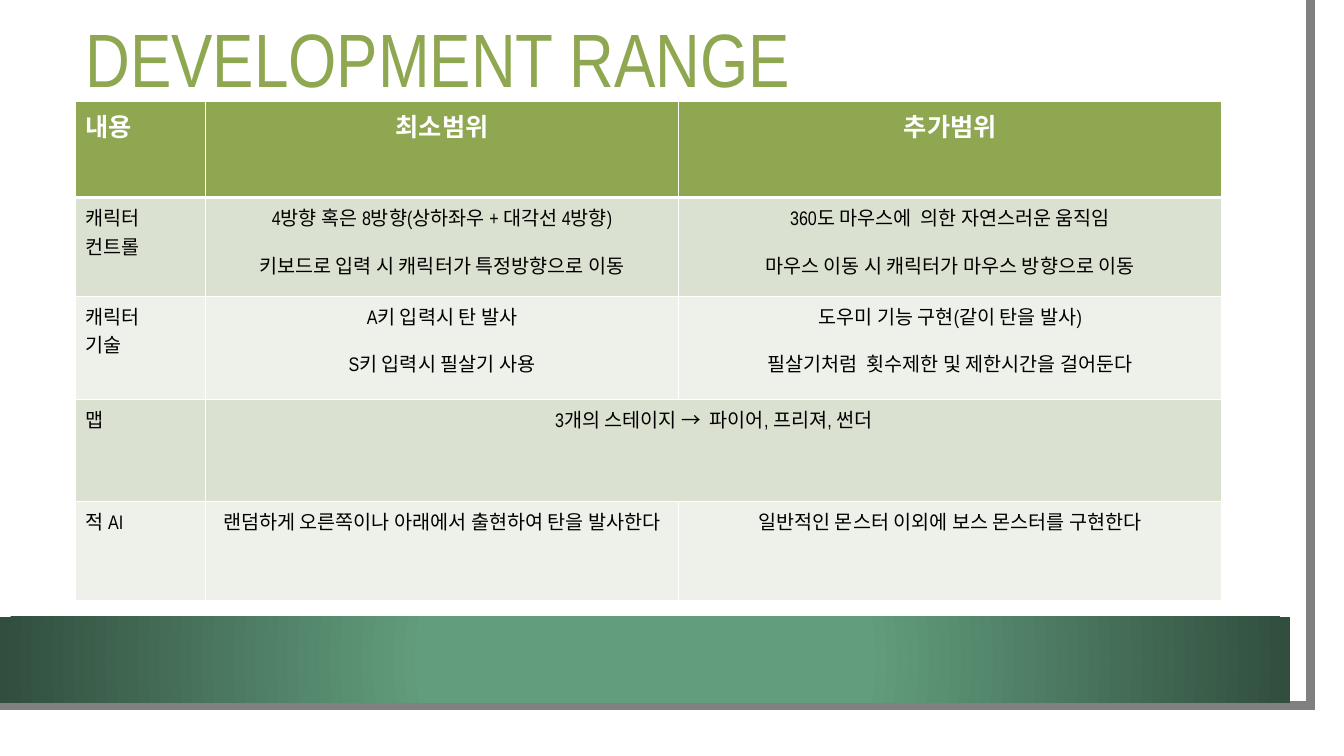
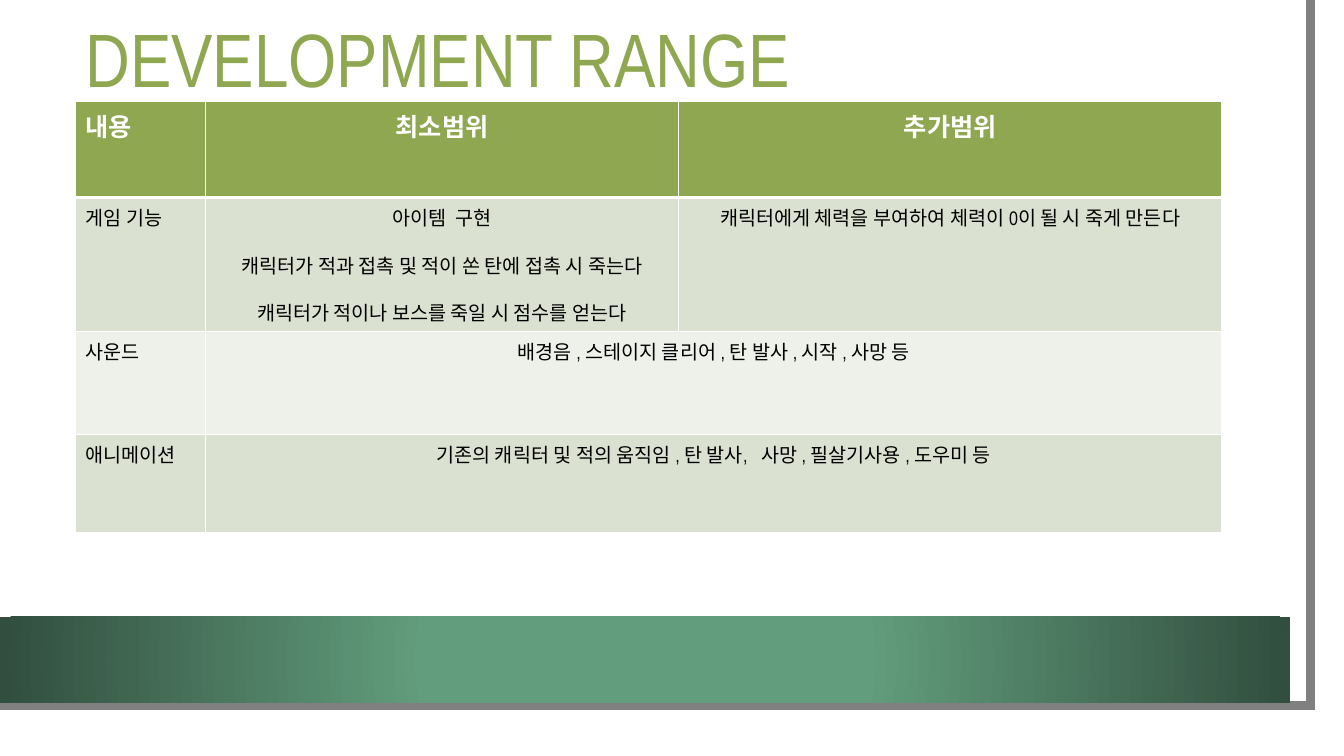
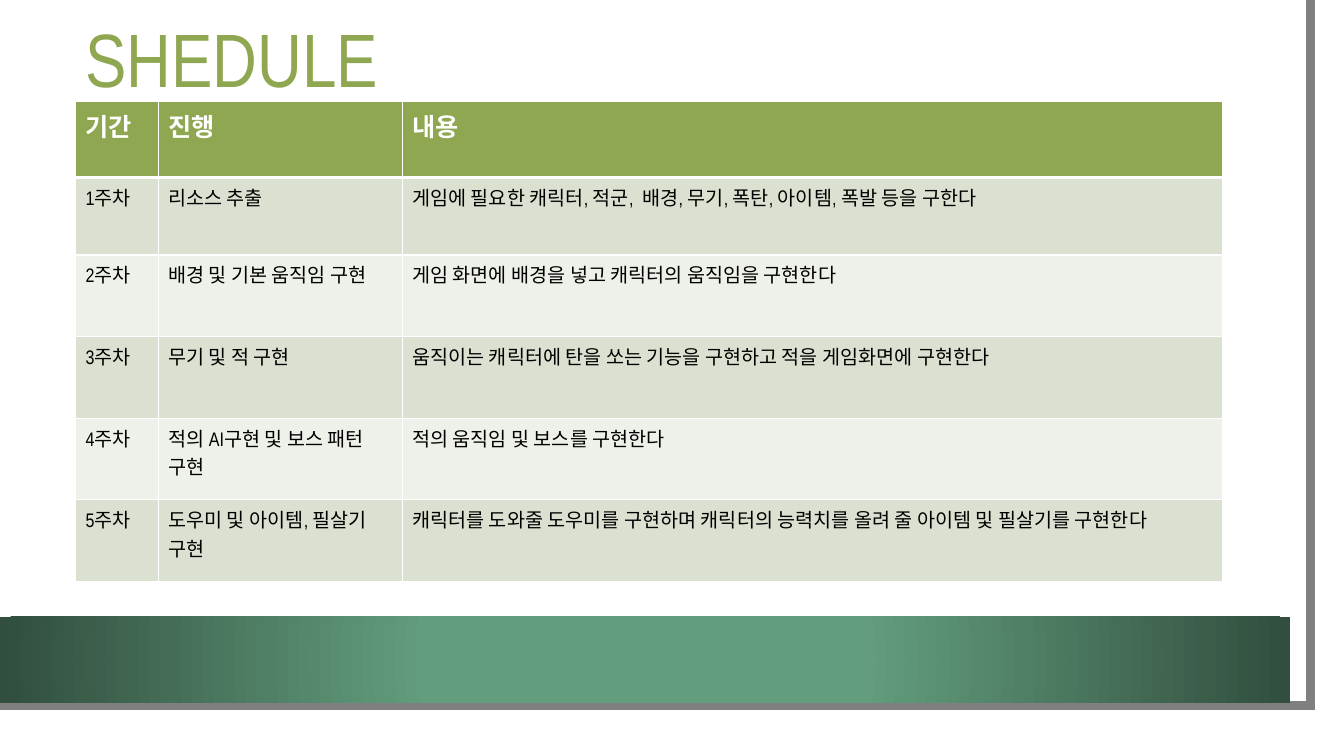
"""Build three game-plan slides: two development range tables and a schedule."""
from itertools import product

from pptx import Presentation
from pptx.dml.color import RGBColor
from pptx.enum.shapes import MSO_SHAPE as Shape
from pptx.enum.text import MSO_ANCHOR as Anchor, MSO_AUTO_SIZE as AutoSize, PP_ALIGN as Align
from pptx.oxml import parse_xml
from pptx.oxml.ns import nsdecls
from pptx.util import Inches, Pt

COLORS = {
    "white": "FFFFFF", "black": "000000", "green": "8FA751", "frame": "808080",
    "odd": "DBE1D0", "even": "EEF1E9", "band": "629D7D", "band_edge": "314E3E",
}
FONT = "Arial Narrow"
LEFT, TABLE_TOP, WIDTH = 0.75, 1.01, 11.37
LINE_GAP = 13.6

RANGE_HEADER = ("내용", "최소범위", "추가범위")
RANGE_COLUMNS = (1.29, 4.69, 5.39)

SLIDES = [
    {
        "title": "DEVELOPMENT RANGE", "columns": RANGE_COLUMNS, "centred": True,
        "heights": (0.95, 0.98, 1.02, 1.02, 0.98),
        "rows": [
            RANGE_HEADER,
            ("캐릭터\n컨트롤",
             "4방향 혹은 8방향(상하좌우 + 대각선 4방향)\n키보드로 입력 시 캐릭터가 특정방향으로 이동",
             "360도 마우스에  의한 자연스러운 움직임\n마우스 이동 시 캐릭터가 마우스 방향으로 이동"),
            ("캐릭터\n기술",
             "A키 입력시 탄 발사\nS키 입력시 필살기 사용",
             "도우미 기능 구현(같이 탄을 발사)\n필살기처럼  횟수제한 및 제한시간을 걸어둔다"),
            ("맵", "3개의 스테이지 →  파이어, 프리져, 썬더"),
            ("적 AI",
             "랜덤하게 오른쪽이나 아래에서 출현하여 탄을 발사한다",
             "일반적인 몬스터 이외에 보스 몬스터를 구현한다"),
        ],
    },
    {
        "title": "DEVELOPMENT RANGE", "columns": RANGE_COLUMNS, "centred": True,
        "heights": (0.95, 1.31, 1.02, 0.98),
        "rows": [
            RANGE_HEADER,
            ("게임 기능",
             "아이템  구현\n캐릭터가 적과 접촉 및 적이 쏜 탄에 접촉 시 죽는다\n"
             "캐릭터가 적이나 보스를 죽일 시 점수를 얻는다",
             "캐릭터에게 체력을 부여하여 체력이 0이 될 시 죽게 만든다"),
            ("사운드", "배경음 , 스테이지 클리어 , 탄 발사 , 시작 , 사망 등"),
            ("애니메이션",
             "기존의 캐릭터 및 적의 움직임 , 탄 발사,   사망 , 필살기사용 , 도우미 등"),
        ],
    },
    {
        "title": "SHEDULE", "columns": (0.82, 2.42, 8.14), "centred": False,
        "heights": (0.75, 0.77, 0.81, 0.81, 0.81, 0.81),
        "rows": [
            ("기간", "진행", "내용"),
            ("1주차", "리소스 추출",
             "게임에 필요한 캐릭터, 적군,  배경, 무기, 폭탄, 아이템, 폭발 등을 구한다"),
            ("2주차", "배경 및 기본 움직임 구현",
             "게임 화면에 배경을 넣고 캐릭터의 움직임을 구현한다"),
            ("3주차", "무기 및 적 구현",
             "움직이는 캐릭터에 탄을 쏘는 기능을 구현하고 적을 게임화면에 구현한다"),
            ("4주차", "적의 AI구현 및 보스 패턴 구현", "적의 움직임 및 보스를 구현한다"),
            ("5주차", "도우미 및 아이템, 필살기 구현",
             "캐릭터를 도와줄 도우미를 구현하며 캐릭터의 능력치를 올려 줄 아이템 및 필살기를 구현한다"),
        ],
    },
]


def rgb(name):
    return RGBColor.from_string(COLORS[name])


def place(shape, left, top, width, height):
    shape.left, shape.top = Inches(left), Inches(top)
    shape.width, shape.height = Inches(width), Inches(height)


def format_text(paragraph, size, color, bold=False):
    for run in paragraph.runs:
        run.font.name, run.font.size, run.font.bold = FONT, Pt(size), bold
        run.font.color.rgb = rgb(color)


def radial_fill(shape):
    stops = "".join(
        f'<a:gs pos="{position * 1000}"><a:srgbClr val="{COLORS[name]}"/></a:gs>'
        for position, name in ((34, "band"), (100, "band_edge")))
    shape.fill.background()
    properties = shape.element.spPr
    no_fill = properties.xpath("./a:noFill")[0]
    properties.replace(no_fill, parse_xml(
        f'<a:gradFill {nsdecls("a")} rotWithShape="1"><a:gsLst>{stops}</a:gsLst>'
        '<a:path path="circle"><a:fillToRect l="50000" t="50000" r="50000" b="50000"/>'
        '</a:path></a:gradFill>'))


def decorate_layout(layout, slide):
    """Draw the page, frame and band, then move them to the shared layout."""
    shapes = slide.shapes
    page = shapes.add_shape(Shape.RECTANGLE, 0, 0, Inches(13.1), Inches(7.27))
    page.fill.solid()
    page.fill.fore_color.rgb = rgb("white")
    page.line.fill.background()

    builder = shapes.build_freeform(12.82, 0, scale=Inches(1))
    builder.add_line_segments([(12.85, 7.02), (-0.03, 7.01)], close=False)
    frame = builder.convert_to_shape()
    frame.fill.background()
    frame.line.color.rgb, frame.line.width = rgb("frame"), Pt(6.5)
    frame.element.spPr.xpath("./a:ln")[0].append(
        parse_xml(f'<a:miter {nsdecls("a")} lim="800000"/>'))

    band = shapes.add_shape(Shape.RECTANGLE, 0, Inches(6.12), Inches(12.8), Inches(0.85))
    radial_fill(band)
    band.line.fill.background()

    for index, shape in enumerate((page, frame, band)):
        shape.shadow.inherit = False
        shape.element.xpath("./p:nvSpPr/p:cNvPr")[0].set("id", str(101 + index))
        layout.shapes.element.insert(2 + index, shape.element)

    title = layout.placeholders[0]
    place(title, LEFT, 0, WIDTH, 1.26)
    title.text_frame.vertical_anchor = Anchor.MIDDLE
    title.text_frame.auto_size = AutoSize.NONE


def add_title(slide, text):
    title = slide.shapes.title
    title.text_frame.text = text
    paragraph = title.text_frame.paragraphs[0]
    paragraph.alignment, paragraph.line_spacing = Align.LEFT, 0.9
    format_text(paragraph, 54, "green")


def set_borders(cell, top, bottom):
    properties = cell._tc.get_or_add_tcPr()
    for index, (side, width) in enumerate((("L", 1), ("R", 1), ("T", top), ("B", bottom))):
        properties.insert(index, parse_xml(
            f'<a:ln{side} {nsdecls("a")} w="{Pt(width)}"><a:solidFill>'
            f'<a:srgbClr val="{COLORS["white"]}"/></a:solidFill></a:ln{side}>'))


def fill_cell(cell, text, header, centred):
    cell.text_frame.text = text
    for index, paragraph in enumerate(cell.text_frame.paragraphs):
        paragraph.alignment = Align.CENTER if centred else Align.LEFT
        if index and centred:
            paragraph.space_before = Pt(LINE_GAP)
        format_text(paragraph, 18 if header else 14, "white" if header else "black", header)


def add_plan_table(slide, columns, heights, rows, centred):
    table = slide.shapes.add_table(
        len(rows), len(columns), Inches(LEFT), Inches(TABLE_TOP),
        Inches(WIDTH), Inches(sum(heights))).table
    table.horz_banding = False
    for column, width in zip(table.columns, columns):
        column.width = Inches(width)
    for row, height in zip(table.rows, heights):
        row.height = Inches(height)
    for r, c in product(range(len(rows)), range(len(columns))):
        cell = table.cell(r, c)
        cell.fill.solid()
        cell.fill.fore_color.rgb = rgb("green" if r == 0 else "odd" if r % 2 else "even")
        set_borders(cell, 3 if r == 1 else 1, 3 if r == 0 else 1)
        if c < len(rows[r]):
            fill_cell(cell, rows[r][c], r == 0, centred and c > 0)
    for r, texts in enumerate(rows):
        if len(texts) < len(columns):
            table.cell(r, len(texts) - 1).merge(table.cell(r, len(columns) - 1))


def main():
    presentation = Presentation()
    presentation.slide_width, presentation.slide_height = Inches(13.33), Inches(7.5)
    layout = presentation.slide_layouts[5]
    for index, content in enumerate(SLIDES):
        slide = presentation.slides.add_slide(layout)
        if index == 0:
            decorate_layout(layout, slide)
        add_title(slide, content["title"])
        add_plan_table(slide, content["columns"], content["heights"],
                       content["rows"], content["centred"])
    presentation.save("out.pptx")


if __name__ == "__main__":
    main()
